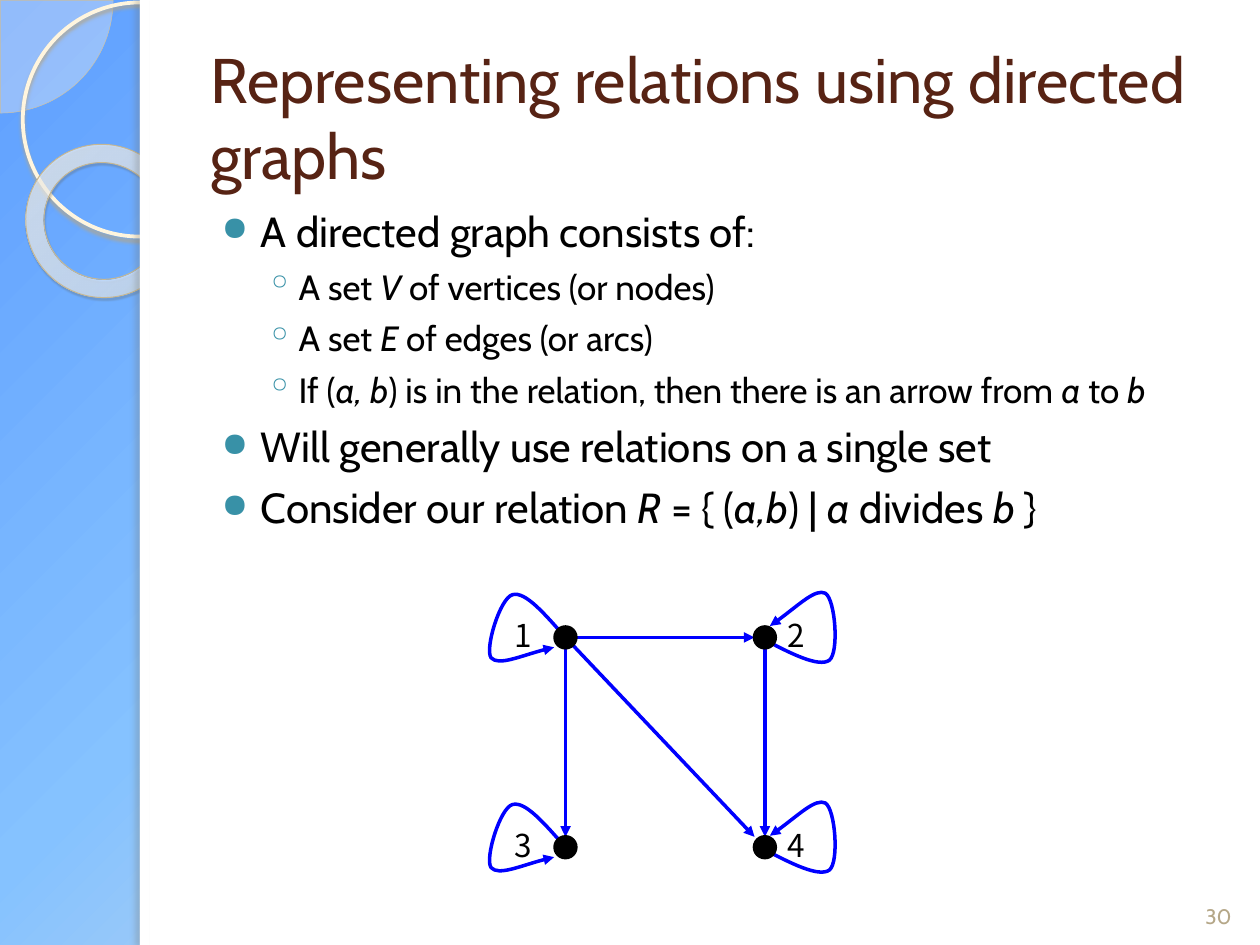
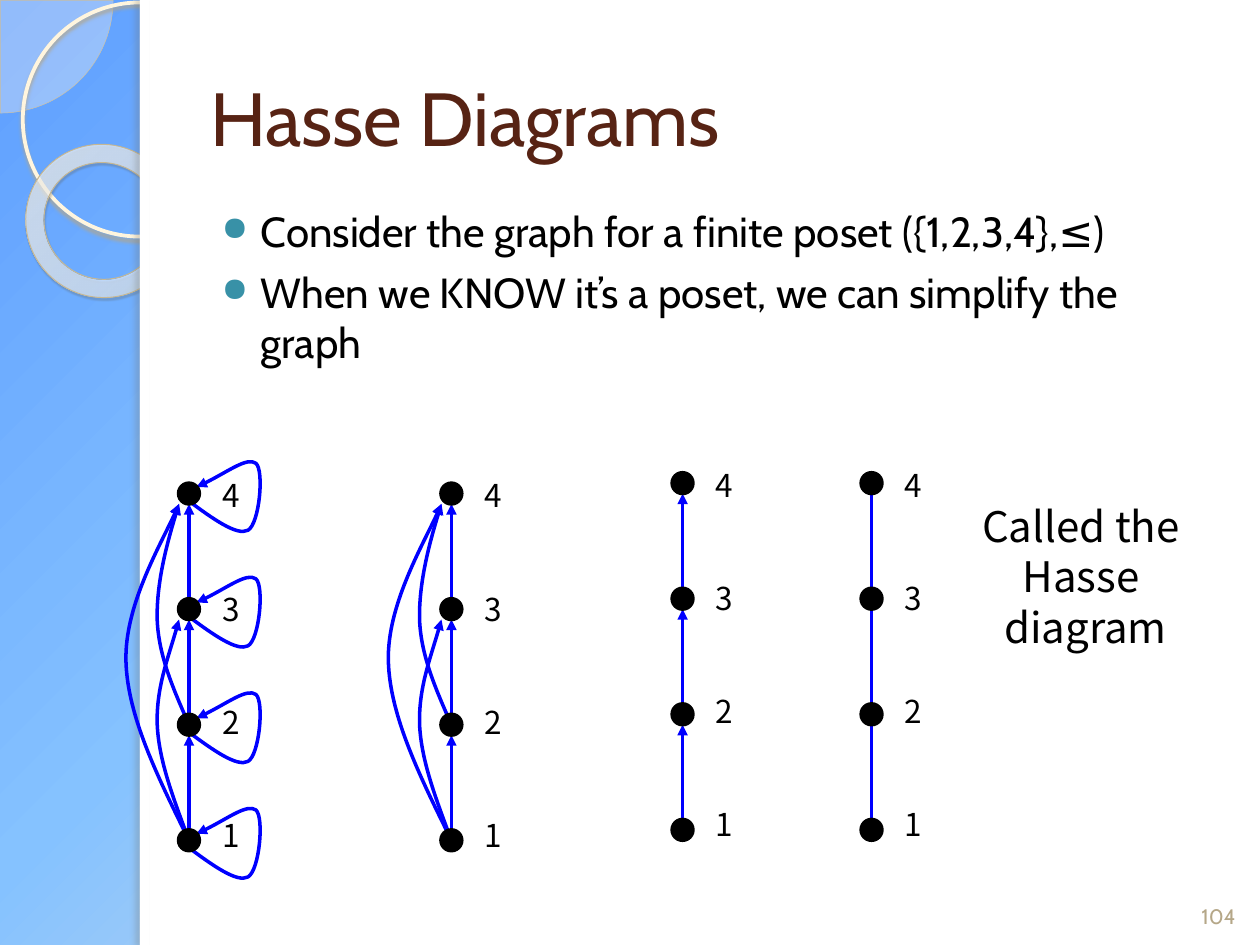
from dataclasses import dataclass

from pptx import Presentation
from pptx.dml.color import RGBColor
from pptx.enum.shapes import MSO_CONNECTOR, MSO_SHAPE
from pptx.enum.text import MSO_ANCHOR, PP_ALIGN
from pptx.oxml import parse_xml
from pptx.oxml.ns import nsdecls, qn
from pptx.util import Cm, Pt

STRAIGHT = MSO_CONNECTOR.STRAIGHT
RECT, OVAL = MSO_SHAPE.RECTANGLE, MSO_SHAPE.OVAL
PIE, DONUT = MSO_SHAPE.PIE, MSO_SHAPE.DONUT
TOP, MIDDLE, BOTTOM = MSO_ANCHOR.TOP, MSO_ANCHOR.MIDDLE, MSO_ANCHOR.BOTTOM
LEFT, CENTER = PP_ALIGN.LEFT, PP_ALIGN.CENTER


@dataclass(frozen=True)
class Theme:
    font: str = "Cabin"
    label_font: str = "Noto Sans CJK KR"
    title: str = "572314"
    text: str = "000000"
    bullet: str = "3891A7"
    number: str = "B5A788"
    edge: str = "0000FF"
    node: str = "000000"
    panel: str = "FFFFFF"
    body_sizes: tuple = (24, 20)
    label_size: int = 18
    note_size: int = 24
    number_size: int = 12
    edge_width: int = 2
    # gradient stops: position %, colour, opacity %
    sky: tuple = ((0, "5E9EFF", 100), (40, "85C2FF", 100),
                  (70, "C4D6EB", 100), (100, "FFEBFA", 100))
    ring: tuple = ((0, "FFFCF6", 70), (70, "FFFEFB", 55), (100, "F0D28E", 60))


T = Theme()

# Content. Body lines are (level, text); *asterisks* mark italics.
RELATIONS = {
    "title": "Representing relations using directed graphs",
    "title_size": 36,
    "number": "30",
    "body": [
        (0, "A directed graph consists of:"),
        (1, "A set *V* of vertices (or nodes)"),
        (1, "A set *E* of edges (or arcs)"),
        (1, "If (*a, b*) is in the relation, then there is an arrow from *a* to *b*"),
        (0, "Will generally use relations on a single set"),
        (0, "Consider our relation *R* = { (*a,b*) | *a* divides *b* }"),
    ],
}
HASSE = {
    "title": "Hasse Diagrams",
    "title_size": 43,
    "number": "104",
    "body": [
        (0, "Consider the graph for a finite poset ({1,2,3,4},≤)"),
        (0, "When we KNOW it’s a poset, we can simplify the graph"),
    ],
}
NOTE = ["Called the ", "Hasse ", "diagram"]

DIVIDES_NODES = {"1": (11.4, 12.85), "2": (15.42, 12.85),
                 "3": (11.4, 17.08), "4": (15.42, 17.08)}
DIVIDES_EDGES = ["12", "14", "24", "13"]

# Each chain: x, y of the top node, arrowheads, arcs, loops
CHAINS = [
    (3.81, 9.95, True, True, True),
    (9.1, 9.95, True, True, False),
    (13.76, 9.74, True, False, False),
    (17.57, 9.74, False, False, False),
]
CHAIN_LABELS = "4321"
CHAIN_STEP = 2.33
RADIUS = 0.21

# Bezier points in cm, measured from the centre of the start node
LOOP_LEFT = [(0, 0), (-.41, -.46), (-.81, -.94), (-1.07, -.86), (-1.32, -.79),
             (-1.63, .23), (-1.5, .41), (-1.35, .58), (-.81, .33), (-.23, .2)]
LOOP_RIGHT = [(0, .05), (.53, .33), (1.09, .61), (1.3, .46), (1.5, .3),
              (1.42, -.76), (1.22, -.89), (1.02, -.99), (.61, -.58), (.1, -.23)]
LOOP_CHAIN = [(-.03, .13), (.48, .51), (.97, .86), (1.19, .74), (1.42, .61),
              (1.52, -.46), (1.35, -.61), (1.17, -.74), (.71, -.38), (.15, -.13)]
CHAIN_ARCS = [
    ("1", [(0, 0), (-.3, -.81), (-.61, -1.6), (-.64, -2.34),
           (-.66, -3.07), (-.38, -3.78), (-.2, -4.45)]),
    ("2", [(0, 0), (-.3, -.69), (-.61, -1.37), (-.64, -2.11),
           (-.66, -2.87), (-.38, -3.89), (-.2, -4.45)]),
    ("1", [(0, 0), (-.61, -1.24), (-1.24, -2.49), (-1.27, -3.61),
           (-1.3, -4.72), (-.46, -6.15), (-.2, -6.78)]),
]


def rgb(color):
    return RGBColor.from_string(color)


def xml(tag, attrs="", inner=""):
    return parse_xml(f'<a:{tag} {nsdecls("a")} {attrs}>{inner}</a:{tag}>')


def set_gradient(fill, element, stops, direction):
    fill.gradient()
    grad = next(element.iter(qn("a:gradFill")))
    for child in list(grad):
        grad.remove(child)
    grad.append(xml("gsLst", inner="".join(
        f'<a:gs pos="{pos * 1000}"><a:srgbClr val="{color}">'
        f'<a:alpha val="{alpha * 1000}"/></a:srgbClr></a:gs>'
        for pos, color, alpha in stops)))
    grad.append(direction)


def add_shape(shapes, kind, box, fill=None, line=None, width=1, shadow=None):
    """shadow is (colour, opacity %, blur pt, distance pt, degrees)."""
    sp = shapes.add_shape(kind, *map(Cm, box))
    sp.shadow.inherit = False
    if fill:
        sp.fill.solid()
        sp.fill.fore_color.rgb = rgb(fill)
    else:
        sp.fill.background()
    if line:
        sp.line.color.rgb = rgb(line)
        sp.line.width = Pt(width)
    else:
        sp.line.fill.background()
    if shadow:
        color, alpha, blur, dist, angle = shadow
        sp.element.spPr.find(qn("a:effectLst")).append(xml(
            "outerShdw",
            f'blurRad="{Pt(blur)}" dist="{Pt(dist)}" dir="{angle * 60000}" '
            'algn="tl" rotWithShape="0"',
            f'<a:srgbClr val="{color}"><a:alpha val="{alpha * 1000}"/></a:srgbClr>'))
    return sp


def format_font(p, size, font, color):
    for r in p.runs:
        r.font.size = Pt(size)
        r.font.name = font
        r.font.color.rgb = rgb(color)


def add_text(shapes, box, lines, size, font=T.font, color=T.text,
             align=LEFT, anchor=TOP, wrap=True, spacing=None, gap=0):
    tf = shapes.add_textbox(*map(Cm, box)).text_frame
    tf.text = "\n".join(lines)
    tf.word_wrap = wrap
    tf.vertical_anchor = anchor
    for i, p in enumerate(tf.paragraphs):
        p.alignment = align
        if spacing:
            p.line_spacing = spacing
        if i and gap:
            p.space_before = Pt(gap)
        format_font(p, size, font, color)


def add_body(s, lines):
    tf = s.shapes.add_textbox(Cm(3.99), Cm(4.01), Cm(20.83), Cm(13.34)).text_frame
    tf.word_wrap = True
    bullets = [("●", 80, 1.02, -0.79, 6), ("◦", 100, 1.78, -0.66, 5.5)]
    for i, (level, text) in enumerate(lines):
        p = tf.add_paragraph() if i else tf.paragraphs[0]
        char, percent, margin, indent, before = bullets[level]
        p.level = level
        p.space_before = Pt(before)
        for j, part in enumerate(text.split("*")):
            if part:
                r = p.add_run()
                r.text = part
                r.font.italic = j % 2 == 1
        format_font(p, T.body_sizes[level], T.font, T.text)
        pPr = p._p.get_or_add_pPr()
        pPr.set("marL", str(Cm(margin)))
        pPr.set("indent", str(Cm(indent)))
        pPr.append(xml("buClr", inner=f'<a:srgbClr val="{T.bullet}"/>'))
        pPr.append(xml("buSzPct", f'val="{percent * 1000}"'))
        pPr.append(xml("buChar", f'char="{char}"'))


def style_edge(line, arrow=True):
    line.color.rgb = rgb(T.edge)
    line.width = Pt(T.edge_width)
    if arrow:
        line._get_or_add_ln().append(xml("tailEnd", 'type="triangle"'))


def add_edge(shapes, start, end, arrow=True):
    """Run from the centre of one node to the rim of the next."""
    rim = [b - RADIUS * ((b > a) - (b < a)) for a, b in zip(start, end)]
    cx = shapes.add_connector(STRAIGHT, *map(Cm, (*start, *rim)))
    style_edge(cx.line, arrow)
    cx.element.spPr.append(xml("effectLst"))


def add_curve(shapes, node, offsets):
    points = [(Cm(node[0] + dx), Cm(node[1] + dy)) for dx, dy in offsets]
    builder = shapes.build_freeform(*points[0])
    builder.add_line_segments(points[1:], close=False)
    sp = builder.convert_to_shape()
    sp.shadow.inherit = False
    sp.fill.background()
    style_edge(sp.line)
    outline = next(sp.element.iter(qn("a:path")))
    segments = outline.findall(qn("a:lnTo"))
    for i in range(0, len(segments), 3):
        bezier = xml("cubicBezTo")
        for segment in segments[i:i + 3]:
            bezier.append(segment[0])
            outline.remove(segment)
        outline.append(bezier)


def add_nodes(shapes, centres):
    for x, y in centres:
        add_shape(shapes, OVAL, (x - RADIUS, y - RADIUS, 2 * RADIUS, 2 * RADIUS),
                  T.node, T.node, T.edge_width)


def add_frame(prs, content):
    """Add a slide with the side band, title, body and slide number."""
    s = prs.slides.add_slide(prs.slide_layouts[6])
    pie = add_shape(s.shapes, PIE, (-2.26, -2.26, 4.54, 4.54), "FEFAF4", "D3C39F", 0.25)
    pie.adjustments[1] = 54.02
    next(pie.element.spPr.iter(qn("a:srgbClr"))).append(xml("alpha", 'val="33000"'))
    add_shape(s.shapes, OVAL, (0.46, 0.05, 4.72, 4.72), None, "FFF5DE", 2.15,
              ("B0A68F", 85, 2, 2, 90))
    ring = add_shape(s.shapes, DONUT, (0.51, 2.92, 3.12, 3.07), None, "C7B893", 0.58,
                     ("5A5444", 35, 1, 1.2, 75))
    ring.adjustments[0] = 0.12
    ring.rotation = 38.6
    set_gradient(ring.fill, ring.element, T.ring, xml(
        "path", 'path="circle"',
        '<a:fillToRect l="-408000" t="-50000" r="508000" b="150000"/>'))
    add_shape(s.shapes, RECT, (2.82, 0, 22.58, 19.05), T.panel)
    add_shape(s.shapes, RECT, (2.82, 0, 0.2, 19.05), T.panel,
              shadow=("736F63", 25, 3, 3, 180))
    add_text(s.shapes, (23.93, 17.53, 1.27, 1.32), [content["number"]], T.number_size,
             color=T.number, align=CENTER, anchor=BOTTOM)
    add_text(s.shapes, (3.99, 0.76, 20.83, 3.18), [content["title"]],
             content["title_size"], color=T.title, anchor=MIDDLE)
    add_body(s, content["body"])
    return s


def add_divides_graph(s):
    shapes = s.shapes.add_group_shape().shapes
    nodes = DIVIDES_NODES
    for label, (x, y) in nodes.items():
        on_left = label in "13"
        add_text(shapes, (x + (-1.27 if on_left else 0.2), y - 0.86, 0.86, 1.32),
                 [label], T.label_size, T.label_font, wrap=False, spacing=1.4)
        add_curve(shapes, (x, y), LOOP_LEFT if on_left else LOOP_RIGHT)
    for start, end in DIVIDES_EDGES:
        add_edge(shapes, nodes[start], nodes[end])
    add_nodes(shapes, nodes.values())


def add_chain(s, x, top, arrows, arcs, loops):
    shapes = s.shapes.add_group_shape().shapes
    nodes = {label: (x, top + i * CHAIN_STEP) for i, label in enumerate(CHAIN_LABELS)}
    add_text(shapes, (x + 0.42, top - 0.85, 0.86, 8.28), CHAIN_LABELS, T.label_size,
             T.label_font, align=CENTER, spacing=1.5, gap=32.2)
    for upper, lower in zip(CHAIN_LABELS, CHAIN_LABELS[1:]):
        add_edge(shapes, nodes[lower], nodes[upper], arrows)
    if arcs:
        for start, offsets in CHAIN_ARCS:
            add_curve(shapes, nodes[start], offsets)
    if loops:
        for node in nodes.values():
            add_curve(shapes, node, LOOP_CHAIN)
    add_nodes(shapes, nodes.values())


def main():
    prs = Presentation()
    prs.slide_width, prs.slide_height = Cm(25.4), Cm(19.05)
    master = prs.slide_master
    set_gradient(master.background.fill, master.element, T.sky,
                 xml("lin", 'ang="2700000" scaled="0"'))

    add_divides_graph(add_frame(prs, RELATIONS))

    s = add_frame(prs, HASSE)
    for chain in CHAINS:
        add_chain(s, *chain)
    add_text(s.shapes, (19.51, 9.96, 4.75, 3.33), NOTE, T.note_size, T.label_font,
             align=CENTER, wrap=False)
    prs.save("out.pptx")


if __name__ == "__main__":
    main()
